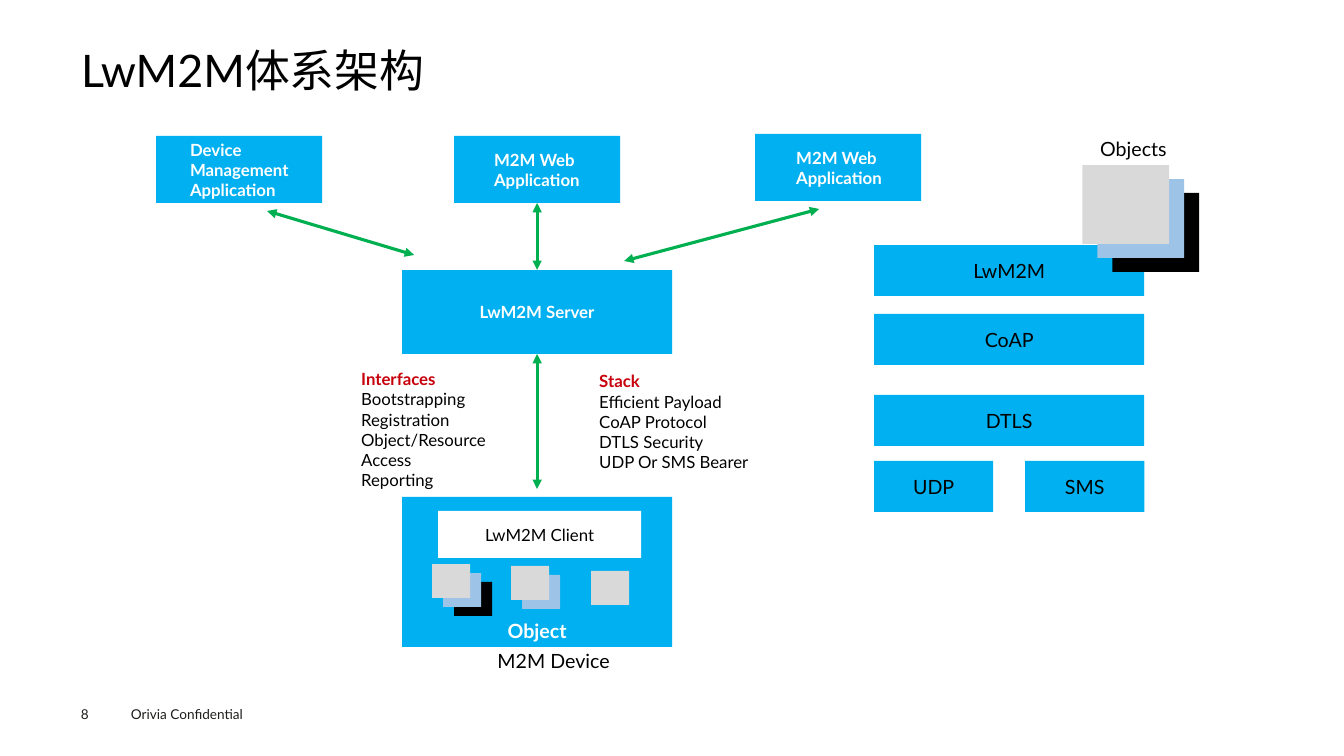
from lxml.etree import SubElement
from pptx import Presentation
from pptx.dml.color import RGBColor
from pptx.enum.shapes import MSO_CONNECTOR, MSO_SHAPE
from pptx.enum.text import MSO_ANCHOR, MSO_AUTO_SIZE, PP_ALIGN
from pptx.oxml.ns import qn
from pptx.util import Inches, Pt

BLUE, GREEN, RED = "00B0F0", "00B050", "C7000B"
BLACK, WHITE, DARK = "000000", "FFFFFF", "1D1D1B"
TILE_COLORS = ["D9D9D9", "9DC3E6", BLACK]


def px(n):
    return round(n * 914400 / 100.8)


def rgb(color):
    return RGBColor.from_string(color)


class Deck:
    """Draws the elements of one slide in a shared style."""

    font = "Lato"

    def __init__(self, prs):
        self.s = prs.slides.add_slide(prs.slide_layouts[3])

    def style(self, p, size, color, bold=False, align=PP_ALIGN.LEFT):
        p.alignment = align
        for r in p.runs:
            r.font.name = self.font
            r.font.size = Pt(size)
            r.font.bold = bold
            r.font.color.rgb = rgb(color)

    def place(self, sp, x, y, w, h):
        sp.left, sp.top, sp.width, sp.height = map(px, (x, y, w, h))

    def title(self, text, x, y, w, h):
        sp = self.s.shapes.title
        self.place(sp, x, y, w, h)
        tf = sp.text_frame
        tf.text = text
        tf.auto_size = MSO_AUTO_SIZE.NONE
        tf.vertical_anchor = MSO_ANCHOR.TOP
        tf.margin_left = tf.margin_top = tf.margin_right = tf.margin_bottom = 0
        p = tf.paragraphs[0]
        p.line_spacing = 0.9
        self.style(p, 32, BLACK)

    def topics(self, idx, lines, x, y, w, h):
        sp = self.s.placeholders[idx]
        self.place(sp, x, y, w, h)
        tf = sp.text_frame
        tf.text = "\n".join(lines)
        tf.auto_size = MSO_AUTO_SIZE.NONE
        for i, p in enumerate(tf.paragraphs):
            p.space_before = Pt(0)
            self.style(p, 12, BLACK if i else RED, bold=i == 0)
            pPr = p._p.get_or_add_pPr()
            pPr.set("marL", "0")
            pPr.set("indent", "0")
            SubElement(pPr, qn("a:buNone"))

    def text(self, text, x, y, w, h, size, color=BLACK, align=PP_ALIGN.LEFT,
             anchor=MSO_ANCHOR.TOP, inset=True):
        sp = self.s.shapes.add_textbox(*map(px, (x, y, w, h)))
        tf = sp.text_frame
        tf.word_wrap = True
        tf.text = text
        tf.vertical_anchor = anchor
        if not inset:
            tf.margin_left = tf.margin_top = tf.margin_right = tf.margin_bottom = 0
        self.style(tf.paragraphs[0], size, color, align=align)

    def box(self, x, y, w, h, text="", fill=BLUE, size=14, color=BLACK,
            bold=False, anchor=MSO_ANCHOR.MIDDLE, indent=0):
        sp = self.s.shapes.add_shape(MSO_SHAPE.RECTANGLE, *map(px, (x, y, w, h)))
        sp.shadow.inherit = False
        sp.fill.solid()
        sp.fill.fore_color.rgb = rgb(fill)
        sp.line.fill.background()
        if text:
            tf = sp.text_frame
            tf.text = text
            tf.vertical_anchor = anchor
            if indent:
                tf.margin_left, tf.margin_right = px(indent), 0
            align = PP_ALIGN.LEFT if indent else PP_ALIGN.CENTER
            self.style(tf.paragraphs[0], size, color, bold, align)
        return sp

    def tiles(self, count, x, y, w, h, dx, dy):
        for i in reversed(range(count)):
            self.box(x + i * dx, y + i * dy, w, h, fill=TILE_COLORS[i])

    def arrow(self, x1, y1, x2, y2):
        c = self.s.shapes.add_connector(MSO_CONNECTOR.STRAIGHT,
                                        *map(px, (x1, y1, x2, y2)))
        c.line.color.rgb = rgb(GREEN)
        c.line.width = Pt(2.25)
        ln = c.line._get_or_add_ln()
        for end in ("a:headEnd", "a:tailEnd"):
            SubElement(ln, qn(end)).set("type", "triangle")
        SubElement(c._element.spPr, qn("a:effectLst"))
        return c


def main():
    prs = Presentation()
    prs.slide_width, prs.slide_height = Inches(13.33), Inches(7.5)
    d = Deck(prs)

    d.title("LwM2M体系架构", 81, 49, 1182, 54)
    d.text("Orivia Confidential", 121, 701, 161, 27, 9.7, DARK)
    d.text("8", 81, 706, 55, 16, 9.7, DARK, inset=False)

    server = d.box(402, 270, 270, 84, "LwM2M Server", size=12, color=WHITE, bold=True)
    apps = [d.box(x, y, 166, 67, text, size=12, color=WHITE, bold=True, indent=indent)
            for x, y, text, indent in [
                (156, 136, "Device Management Application", 34),
                (454, 136, "M2M Web Application", 40),
                (755, 134, "M2M Web Application", 41)]]

    d.box(402, 497, 270, 150, "Object", color=WHITE, bold=True, anchor=MSO_ANCHOR.BOTTOM)
    d.box(438, 511, 203, 47, "LwM2M Client", fill=WHITE, size=12)
    d.text("M2M Device", 466, 647, 175, 28, 14, align=PP_ALIGN.CENTER,
           anchor=MSO_ANCHOR.MIDDLE)
    for count, x, y in [(3, 432, 564), (2, 511, 566), (1, 591, 571)]:
        d.tiles(count, x, y, 38, 34, 11, 9)

    d.arrow(267, 211, 414, 255)
    d.arrow(819, 209, 624, 261)
    link = d.arrow(537, 203, 537, 270)
    link.begin_connect(apps[1], 2)
    link.end_connect(server, 0)
    d.arrow(537, 354, 537, 489).begin_connect(server, 2)

    d.topics(1, ["Interfaces", "Bootstrapping", "Registration",
                 "Object/Resource Access", "Reporting"], 351, 364, 174, 135)
    d.topics(2, ["Stack", "Efficient Payload", "CoAP Protocol",
                 "DTLS Security", "UDP Or SMS Bearer"], 589, 366, 198, 133)

    for text, x, y, w in [("LwM2M", 874, 245, 270), ("CoAP", 874, 314, 270),
                          ("DTLS", 874, 395, 270), ("UDP", 874, 461, 119),
                          ("SMS", 1025, 461, 119)]:
        d.box(x, y, w, 51, text)
    d.text("Objects", 1090, 132, 107, 37, 14)
    d.tiles(3, 1082, 165, 87, 79, 15, 14)

    prs.save("out.pptx")


if __name__ == "__main__":
    main()
